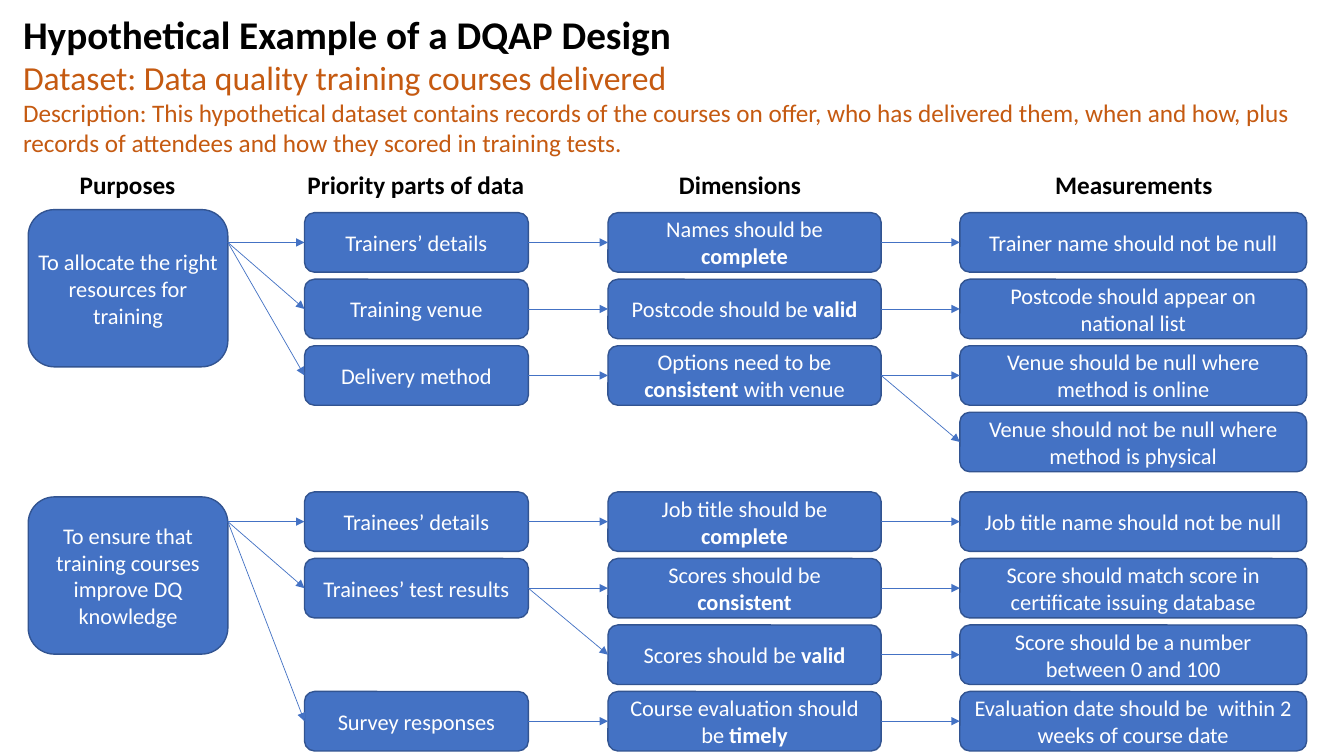
from lxml.etree import SubElement
from pptx import Presentation
from pptx.dml.color import RGBColor
from pptx.enum.shapes import MSO_CONNECTOR, MSO_SHAPE
from pptx.enum.text import MSO_ANCHOR, PP_ALIGN
from pptx.oxml.ns import qn
from pptx.util import Inches, Pt

BLUE, EDGE, ORANGE, BLACK, WHITE = "4472C4", "325491", "C55A11", "000000", "FFFFFF"
LEFT_SITE, RIGHT_SITE = 1, 3
ROW_PITCH, BOX_HEIGHT = 0.66, 0.59
PURPOSE_LEFT, PURPOSE_WIDTH, PURPOSE_HEIGHT = 0.28, 1.98, 1.56

# left and width of the boxes for parts, dimensions and measurements
COLUMNS = [(3.02, 2.22), (6.03, 2.71), (9.52, 3.44)]

HEADINGS = [
    ("Purposes", 0.13, 2.27),
    ("Priority parts of data", 2.88, 2.49),
    ("Dimensions", 6.57, 1.54),
    ("Measurements", 10.35, 1.79),
]

# purpose, its top, top of its first row, tree of (text, children)
PURPOSES = [
    ("To allocate the right resources for training", 2.08, 2.11, [
        ("Trainers’ details", [
            ("Names should be *complete*", [
                ("Trainer name should not be null", [])])]),
        ("Training venue", [
            ("Postcode should be *valid*", [
                ("Postcode should appear on national list", [])])]),
        ("Delivery method", [
            ("Options need to be *consistent* with venue", [
                ("Venue should be null where method is online", []),
                ("Venue should not be null where method is physical", [])])]),
    ]),
    ("To ensure that training courses improve DQ knowledge", 4.93, 4.88, [
        ("Trainees’ details", [
            ("Job title should be *complete*", [
                ("Job title name should not be null", [])])]),
        ("Trainees’ test results", [
            ("Scores should be *consistent*", [
                ("Score should match score in certificate issuing database", [])]),
            ("Scores should be *valid*", [
                ("Score should be a number between 0 and 100", [])])]),
        ("Survey responses", [
            ("Course evaluation should be *timely*", [
                ("Evaluation date should be  within 2 weeks of course date", [])])]),
    ]),
]


def rgb(color):
    return RGBColor.from_string(color)


def write(p, text, size=16, color=WHITE, bold=False, align=PP_ALIGN.CENTER):
    """Fill a paragraph; words between asterisks become bold."""
    p.alignment = align
    for i, part in enumerate(text.split("*")):
        if part:
            r = p.add_run()
            r.text = part
            r.font.name = "Calibri"
            r.font.size = Pt(size)
            r.font.bold = bold or i % 2 == 1
            r.font.color.rgb = rgb(color)


def add_text_box(slide, left, top, width, height):
    tf = slide.shapes.add_textbox(
        Inches(left), Inches(top), Inches(width), Inches(height)).text_frame
    tf.word_wrap = True
    return tf


def add_title(slide):
    tf = add_text_box(slide, 0.13, 0.05, 12.95, 1.58)
    write(tf.paragraphs[0], "Hypothetical Example of a DQAP Design",
          size=28, color=BLACK, bold=True, align=PP_ALIGN.LEFT)
    write(tf.add_paragraph(), "Dataset: Data quality training courses delivered",
          size=24, color=ORANGE, align=PP_ALIGN.LEFT)
    write(tf.add_paragraph(),
          "Description: This hypothetical dataset contains records of the courses "
          "on offer, who has delivered them, when and how, plus records of "
          "attendees and how they scored in training tests.",
          size=18, color=ORANGE, align=PP_ALIGN.LEFT)


def add_box(slide, text, left, top, width, height, inset=0.1):
    sp = slide.shapes.add_shape(
        MSO_SHAPE.ROUNDED_RECTANGLE,
        Inches(left), Inches(top), Inches(width), Inches(height))
    sp.shadow.inherit = False
    sp.fill.solid()
    sp.fill.fore_color.rgb = rgb(BLUE)
    sp.line.color.rgb = rgb(EDGE)
    sp.line.width = Pt(1)
    tf = sp.text_frame
    tf.word_wrap = True
    tf.vertical_anchor = MSO_ANCHOR.MIDDLE
    tf.margin_left = tf.margin_right = Inches(inset)
    write(tf.paragraphs[0], text)
    return sp


def add_arrow(slide, x, y, target, source=None):
    """Arrow from a point, or from the right side of source, to target."""
    line = slide.shapes.add_connector(
        MSO_CONNECTOR.STRAIGHT, Inches(x), Inches(y), Inches(x), Inches(y))
    if source is not None:
        line.begin_connect(source, RIGHT_SITE)
    line.end_connect(target, LEFT_SITE)
    line.line.color.rgb = rgb(BLUE)
    line.line.width = Pt(0.5)
    SubElement(line.line._get_or_add_ln(), qn("a:tailEnd"), type="triangle")
    SubElement(line._element.spPr, qn("a:effectLst"))


def add_branches(slide, nodes, column, top, start, source=None):
    """Draw nodes and their children; return the top of the next free row."""
    left, width = COLUMNS[column]
    for text, children in nodes:
        box = add_box(slide, text, left, top, width, BOX_HEIGHT)
        add_arrow(slide, *start, box, source)
        if children:
            exit_point = (left + width, top + BOX_HEIGHT / 2)
            top = add_branches(slide, children, column + 1, top, exit_point, box)
        else:
            top += ROW_PITCH
    return top


def main():
    prs = Presentation()
    prs.slide_width, prs.slide_height = Inches(13.33), Inches(7.5)
    slide = prs.slides.add_slide(prs.slide_layouts[6])
    add_title(slide)
    for text, left, width in HEADINGS:
        tf = add_text_box(slide, left, 1.63, width, 0.4)
        write(tf.paragraphs[0], text, size=18, color=BLACK, bold=True)
    for text, top, row_top, parts in PURPOSES:
        add_box(slide, text, PURPOSE_LEFT, top, PURPOSE_WIDTH, PURPOSE_HEIGHT,
                inset=0.02)
        start = (PURPOSE_LEFT + PURPOSE_WIDTH, row_top + BOX_HEIGHT / 2)
        add_branches(slide, parts, 0, row_top, start)
    prs.save("out.pptx")


if __name__ == "__main__":
    main()
